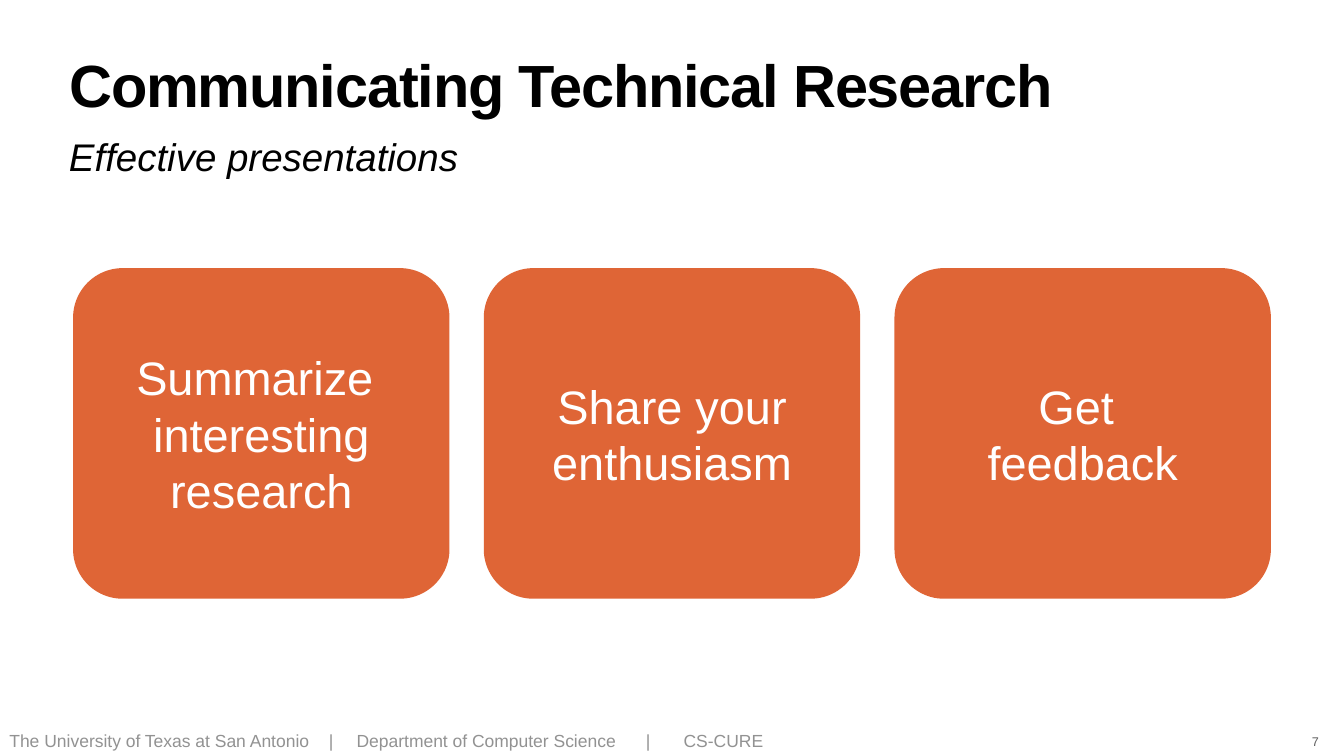
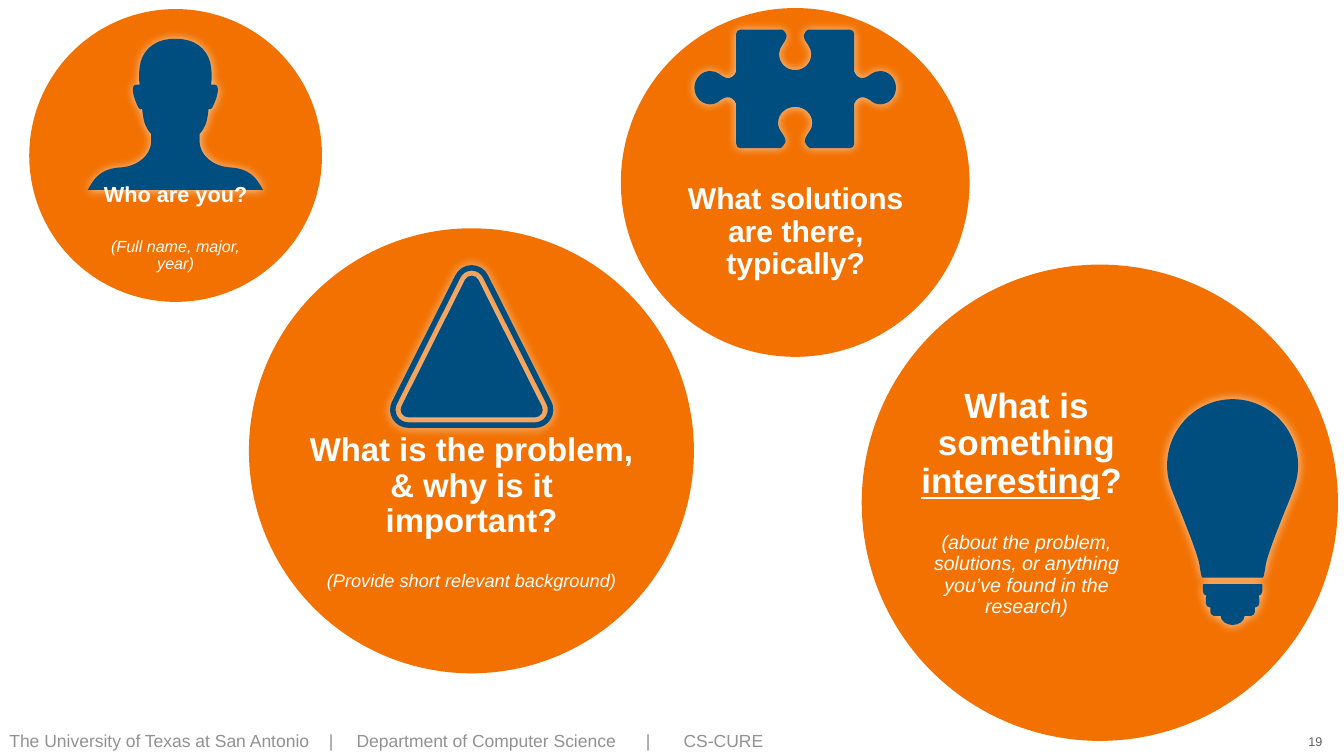
from dataclasses import dataclass
from math import atan2, cos, pi, sin, tan

from lxml.etree import SubElement
from pptx import Presentation
from pptx.dml.color import RGBColor
from pptx.enum.shapes import MSO_SHAPE
from pptx.enum.text import MSO_ANCHOR, MSO_AUTO_SIZE, PP_ALIGN
from pptx.oxml.ns import qn
from pptx.util import Inches, Pt

COLS, ROWS = 26.67, 15
CELL = Inches(1)


@dataclass(frozen=True)
class Theme:
    """Hold the colours, font and type sizes of the deck."""
    font: str = "Arial"
    ink: str = "000000"
    white: str = "FFFFFF"
    foot: str = "929292"
    page: str = "5E5E5E"
    card: str = "DF6536"
    disc: str = "F27100"
    icon: str = "004D80"
    title_size: int = 85
    sub_size: int = 55
    card_size: int = 67
    foot_size: int = 25
    page_size: int = 18


THEME = Theme()

FOOT = ("The University of Texas at San Antonio", "|",
        "Department of Computer Science", "|", "CS-CURE")
FOOT_TABS = (6.34, 6.89, 12.63, 13.38)

CARDS = ("Summarize \ninteresting research", "Share your enthusiasm", "Get \nfeedback")

DISCS = ((0.58, 0.18, 5.81), (4.94, 4.53, 8.83), (12.32, 0.16, 6.92), (17.1, 5.25, 9.45))

LABELS = (
    ((1.75, 3.74, 3.47, 1.59), "Who are you?", 31, "(Full name, major, year)", 23),
    ((5.9, 8.86, 6.92, 2.6), "What is the problem, & why is it important?", 47,
     "(Provide short relevant background)", 26),
    ((13.4, 3.55, 4.78, 2.12), "What solutions are there, typically?", 43, "", 0),
    ((17.98, 7.59, 4.78, 4.77), "What is something _interesting_? ", 50,
     "(about the problem, solutions, or anything you’ve found in the research)", 28),
)

HEAD = (
    (0, 0), (0.39, 0, 0.61, 0.19, 0.69, 0.46), (0.72, 0.59, 0.73, 0.74, 0.71, 0.91),
    (0.74, 0.91, 0.76, 0.91, 0.78, 0.91), (0.91, 0.92, 0.82, 1.2, 0.73, 1.37),
    (0.72, 1.41, 0.68, 1.4, 0.66, 1.39), (0.63, 1.68, 0.59, 1.76, 0.48, 1.89),
    (0.48, 2.02), (0.48, 2.21, 0.59, 2.36, 0.76, 2.46),
    (0.77, 2.47, 0.79, 2.48, 0.8, 2.48), (0.88, 2.52, 0.97, 2.54, 1.06, 2.55),
    (1.48, 2.57, 1.61, 2.76, 1.74, 3),
)

BULB = (
    (0, 0), (0.72, 0, 1.3, 0.59, 1.3, 1.32), (1.3, 1.45, 1.28, 1.58, 1.24, 1.7),
    (1.22, 1.81, 0.65, 3.1, 0.65, 3.35), (0.62, 3.5), (0.62, 3.5, 0.62, 3.52, 0.6, 3.54),
)

BASE = (
    (0.58, 3.67), (0.59, 3.68, 0.59, 3.68, 0.59, 3.69), (0.59, 3.81),
    (0.59, 3.86, 0.56, 3.89, 0.52, 3.9),
    (0.53, 3.91, 0.53, 3.92, 0.53, 3.94), (0.53, 4.05),
    (0.53, 4.09, 0.5, 4.13, 0.46, 4.13), (0.44, 4.13), (0.44, 4.23),
    (0.44, 4.26, 0.4, 4.3, 0.37, 4.3), (0.24, 4.3), (0.23, 4.4, 0.13, 4.48, 0, 4.48),
)

PUZZLE = (
    (0, 0.8), (0.18, 0.8, 0.32, 0.66, 0.32, 0.48), (0.32, 0.41, 0.29, 0.35, 0.25, 0.29),
    (0.25, 0.29, 0.17, 0.19, 0.17, 0.12), (0.17, 0.12, 0.18, 0.05, 0.25, 0),
    (1.09, 0), (1.14, 0, 1.17, 0.04, 1.17, 0.08), (1.17, 0.83),
    (1.21, 0.95, 1.32, 0.96, 1.32, 0.96), (1.39, 0.97, 1.49, 0.89, 1.5, 0.88),
    (1.55, 0.84, 1.62, 0.82, 1.69, 0.82), (1.86, 0.82, 2, 0.97, 2, 1.15),
    (2, 1.33, 1.86, 1.48, 1.69, 1.48), (1.61, 1.48, 1.54, 1.45, 1.49, 1.4),
    (1.46, 1.38, 1.38, 1.33, 1.32, 1.34), (1.32, 1.34, 1.21, 1.35, 1.17, 1.47),
    (1.17, 2.26), (1.17, 2.31, 1.14, 2.35, 1.09, 2.35), (0.29, 2.35),
    (0.21, 2.3, 0.19, 2.21, 0.19, 2.21), (0.19, 2.16, 0.24, 2.08, 0.26, 2.05),
    (0.31, 1.99, 0.34, 1.92, 0.34, 1.85), (0.34, 1.67, 0.19, 1.53, 0, 1.53),
)


def grid(*cells):
    """Turn columns and rows into lengths."""
    return [round(cell * CELL) for cell in cells]


def style(para, size, color, bold=False, italic=False, align=None):
    """Format a paragraph and its runs."""
    para.alignment = align
    for run in para.runs:
        font = run.font
        font.name, font.size = THEME.font, Pt(size)
        font.bold, font.italic = bold, italic
        font.color.rgb = RGBColor.from_string(color)


def space(para):
    """Give a paragraph the tight leading of the template."""
    para.line_spacing, para.space_before = 0.9, Pt(45)


def frame(shape, anchor=MSO_ANCHOR.MIDDLE, wrap=True, inset=4):
    """Set up the text area of a shape and return it."""
    area = shape.text_frame
    area.auto_size, area.word_wrap = MSO_AUTO_SIZE.NONE, wrap
    area.vertical_anchor = anchor
    area.margin_left = area.margin_right = Pt(inset)
    area.margin_top = area.margin_bottom = Pt(inset)
    return area


def paint(shape, color):
    """Fill a shape flat, with no line or shadow."""
    shape.shadow.inherit = False
    shape.fill.solid()
    shape.fill.fore_color.rgb = RGBColor.from_string(color)
    shape.line.fill.background()


def place(holder, box):
    """Move a placeholder to a box on the grid."""
    holder.left, holder.top, holder.width, holder.height = grid(*box)


def heading(slide, title, sub):
    """Fill the title and the subtitle line."""
    head, body = slide.shapes.title, slide.placeholders[1]
    place(head, (1.32, 1.18, 24.03, 1.57))
    area = frame(head, MSO_ANCHOR.TOP)
    area.text = title
    para = area.paragraphs[0]
    para.line_spacing = 0.8
    style(para, THEME.title_size, THEME.ink, bold=True, align=PP_ALIGN.LEFT)
    para.runs[0].font._element.set("spc", "-170")
    place(body, (1.32, 2.59, 24.03, 1.02))
    area = frame(body, MSO_ANCHOR.TOP, inset=3.5)
    area.text = sub
    para = area.paragraphs[0]
    para.space_before = Pt(0)
    style(para, THEME.sub_size, THEME.ink, italic=True, align=PP_ALIGN.LEFT)
    props = para._p.get_or_add_pPr()
    props.set("marL", "0")
    props.set("indent", "0")
    SubElement(props, qn("a:buNone"))


def footer(deck, slide):
    """Write the footer line once and hang it on the slide master."""
    shape = slide.shapes.add_textbox(*grid(0.13, 14.45, 25.48, 0.52))
    area = frame(shape)
    area.text = "\t".join(FOOT)
    para = area.paragraphs[0]
    space(para)
    style(para, THEME.foot_size, THEME.foot)
    tabs = SubElement(para._p.get_or_add_pPr(), qn("a:tabLst"))
    for stop in FOOT_TABS:
        SubElement(tabs, qn("a:tab"), pos=str(Inches(stop)), algn="l")
    tree = deck.slide_master.shapes._spTree
    shape._element.set("userDrawn", "1")
    shape._element.nvSpPr.cNvPr.set("id", str(len(tree) + 100))
    tree.append(shape._element)


def number(slide, page):
    """Add the page number."""
    wide = 0.13 + 0.13 * len(page)
    box = grid(26.1 - wide / 2, 14.51, wide, 0.41)
    area = frame(slide.shapes.add_textbox(*box), MSO_ANCHOR.BOTTOM, wrap=False)
    area.text = page
    style(area.paragraphs[0], THEME.page_size, THEME.page, align=PP_ALIGN.CENTER)


def card(slide, index, text):
    """Add one rounded card of the row."""
    box = grid(1.45 + 8.15 * index, 5.32, 7.47, 6.56)
    shape = slide.shapes.add_shape(MSO_SHAPE.ROUNDED_RECTANGLE, *box)
    shape.adjustments[0] = 0.15
    paint(shape, THEME.card)
    area = frame(shape)
    area.text = text
    for para in area.paragraphs:
        style(para, THEME.card_size, THEME.white, align=PP_ALIGN.CENTER)


def disc(slide, left, top, size):
    """Add a round bubble."""
    shape = slide.shapes.add_shape(MSO_SHAPE.OVAL, *grid(left, top, size, size))
    paint(shape, THEME.disc)


def label(slide, box, ask, big, hint, small):
    """Add a question, with its underlined part, and a hint."""
    area = frame(slide.shapes.add_textbox(*grid(*box)))
    para = area.paragraphs[0]
    for index, part in enumerate(ask.split("_")):
        run = para.add_run()
        run.text = part
        run.font.underline = index % 2 == 1
    space(para)
    style(para, big, THEME.white, bold=True, align=PP_ALIGN.CENTER)
    if hint:
        para = area.add_paragraph()
        para.text = hint
        space(para)
        style(para, small, THEME.white, italic=True, align=PP_ALIGN.CENTER)


def arc(x, y, size, start, end):
    """Give the first point of an arc and the curve that follows it."""
    pull = 4 / 3 * tan((end - start) / 4)
    near, far = (cos(start), sin(start)), (cos(end), sin(end))
    units = (near, (near[0] - pull * near[1], near[1] + pull * near[0]),
             (far[0] + pull * far[1], far[1] - pull * far[0]), far)
    flat = [v for dx, dy in units for v in (x + size * dx, y + size * dy)]
    return [tuple(flat[:2]), tuple(flat[2:])]


def corner(size):
    """Trace the right half of a rounded triangle."""
    side = -atan2(1, 2)
    half = (side + pi / 2) / 2
    low = arc(1.26, 2.87, size, side, half) + arc(1.26, 2.87, size, half, pi / 2)[1:]
    return arc(0, 0.36, size, -pi / 2, side) + low


def flip(step):
    """Mirror a step and run it backwards."""
    pairs = list(zip(step[::2], step[1::2]))
    return tuple(v for x, y in reversed(pairs) for v in (-x, y))


def whole(half):
    """Join a half outline with its mirror image."""
    loop = list(half)
    if abs(half[-1][-2]) > 0.01:
        loop.append(flip(half[-1][-2:]))
    for last, step in zip(half[-2::-1], half[:0:-1]):
        loop.append(flip(last[-2:] + step[:-2]))
    return loop


def icon(slide, axis, top, *halves):
    """Draw mirrored half outlines as one glowing icon."""
    loops = [[grid(*(v + (top if i % 2 else axis) for i, v in enumerate(step)))
              for step in whole(half)] for half in halves]
    pen = slide.shapes.build_freeform(*loops[0][0])
    for index, loop in enumerate(loops):
        if index:
            pen.move_to(*loop[0])
        pen.add_line_segments([step[-2:] for step in loop[1:]], close=True)
    shape = pen.convert_to_shape()
    lines = list(shape._element.iter(qn("a:lnTo")))
    for line, step in zip(lines, [step for loop in loops for step in loop[1:]]):
        if len(step) == 6:
            bend(line, step, shape)
    paint(shape, THEME.icon)
    glow = SubElement(shape._element.spPr.find(qn("a:effectLst")), qn("a:outerShdw"),
                      blurRad=str(Pt(15)), dist="0", dir="5400000", rotWithShape="0")
    tint = SubElement(glow, qn("a:srgbClr"), val=THEME.white)
    SubElement(tint, qn("a:alpha"), val="68000")


def bend(line, step, shape):
    """Replace a straight segment by a cubic curve."""
    cubic = SubElement(line.getparent(), qn("a:cubicBezTo"))
    for x, y in zip(step[::2], step[1::2]):
        SubElement(cubic, qn("a:pt"), x=str(x - shape.left), y=str(y - shape.top))
    line.getparent().replace(line, cubic)


def main():
    """Build the two slides and save them."""
    deck = Presentation()
    deck.slide_width, deck.slide_height = grid(COLS, ROWS)

    talk = deck.slides.add_slide(deck.slide_layouts[1])
    footer(deck, talk)
    heading(talk, "Communicating Technical Research", "Effective presentations")
    number(talk, "7")
    for index, text in enumerate(CARDS):
        card(talk, index, text)

    plan = deck.slides.add_slide(deck.slide_layouts[6])
    number(plan, "19")
    for spot in DISCS:
        disc(plan, *spot)
    icon(plan, 3.48, 0.77, HEAD)
    icon(plan, 24.46, 7.92, BULB, BASE)
    icon(plan, 15.78, 0.59, PUZZLE)
    icon(plan, 9.36, 5.26, *map(corner, (0.36, 0.25, 0.15)))
    for item in LABELS:
        label(plan, *item)

    deck.save("out.pptx")


if __name__ == "__main__":
    main()
